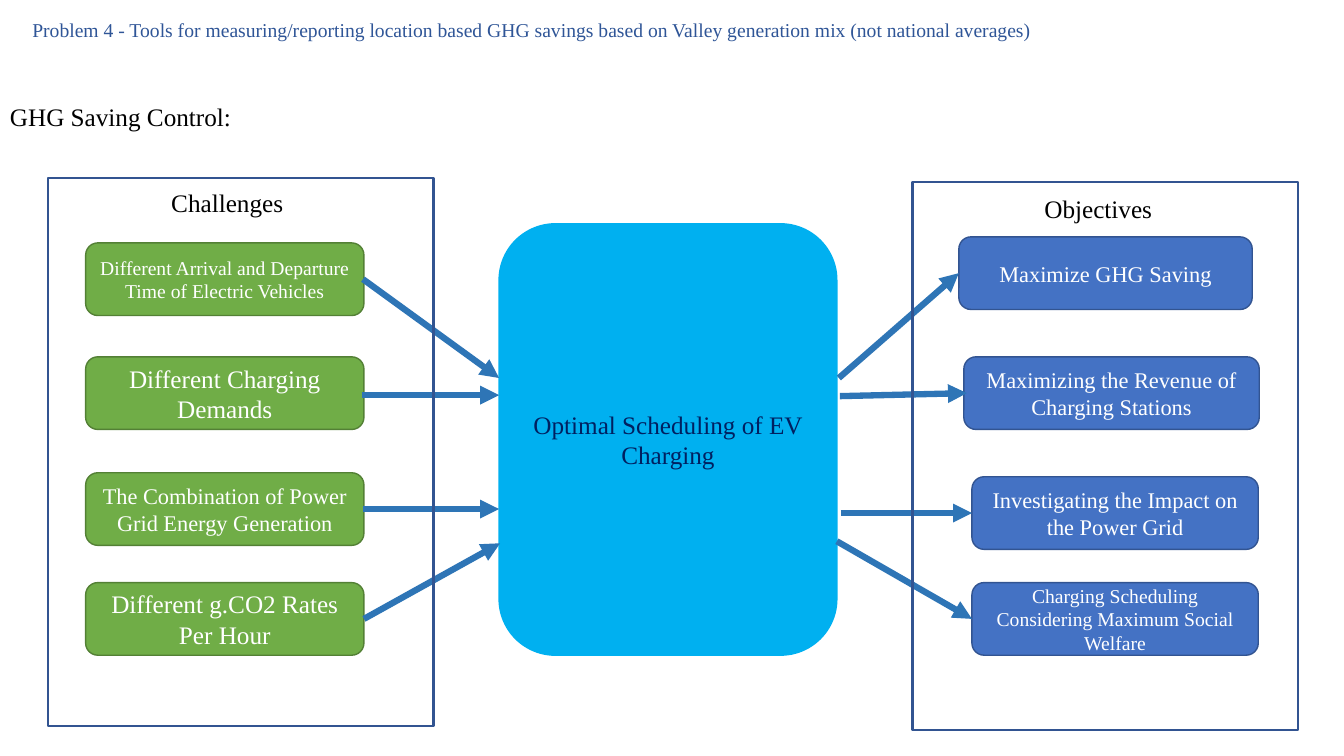
from lxml import etree
from pptx import Presentation
from pptx.dml.color import RGBColor
from pptx.enum.shapes import MSO_CONNECTOR, MSO_SHAPE
from pptx.enum.text import MSO_ANCHOR, MSO_AUTO_SIZE, PP_ALIGN
from pptx.oxml.ns import qn
from pptx.util import Emu, Pt

RECT, ROUNDED = MSO_SHAPE.RECTANGLE, MSO_SHAPE.ROUNDED_RECTANGLE
STRAIGHT = MSO_CONNECTOR.STRAIGHT
TOP, MIDDLE = MSO_ANCHOR.TOP, MSO_ANCHOR.MIDDLE
LEFT, CENTER = PP_ALIGN.LEFT, PP_ALIGN.CENTER
FIXED = MSO_AUTO_SIZE.NONE

PX = 9144  # EMU per px, 100 px to the inch
THEME = {
    "font": "Times New Roman",
    "title": "2F5597", "black": "000000", "white": "FFFFFF", "navy": "002060",
    "sky": "00B0F0", "green": "70AD47", "green_edge": "538035",
    "blue": "4472C4", "blue_edge": "325491", "arrow": "2E75B6",
    "small": 14, "medium": 16, "large": 18,
    "edge_pt": 1, "panel_pt": 1.5, "arrow_pt": 4.5,
}


def write(shape, text, size, color, align=LEFT, anchor=TOP):
    frame = shape.text_frame
    frame.word_wrap = True
    frame.auto_size = FIXED
    frame.vertical_anchor = anchor
    paragraph = frame.paragraphs[0]
    paragraph.alignment = align
    run = paragraph.add_run()
    run.text = text
    run.font.name = THEME["font"]
    run.font.size = Pt(THEME[size])
    run.font.color.rgb = RGBColor.from_string(THEME[color])


def add_box(kind, box, fill, edge, edge_width):
    shape = slide.shapes.add_shape(kind, *[Emu(v * PX) for v in box])
    shape.shadow.inherit = False
    if fill:
        shape.fill.solid()
        shape.fill.fore_color.rgb = RGBColor.from_string(THEME[fill])
    else:
        shape.fill.background()
    shape.line.color.rgb = RGBColor.from_string(THEME[edge])
    shape.line.width = Pt(THEME[edge_width])
    return shape


prs = Presentation()
prs.slide_width, prs.slide_height = Emu(1333 * PX), Emu(750 * PX)
slide = prs.slides.add_slide(prs.slide_layouts[5])

# Title
title = slide.shapes.title
title.left, title.top = Emu(22 * PX), Emu(13 * PX)
title.width, title.height = Emu(1221 * PX), Emu(34 * PX)
write(title, "Problem 4 - Tools for measuring/reporting location based GHG savings "
      "based on Valley generation mix (not national averages)", "small", "title")

# Central scheduler
scheduler = add_box(ROUNDED, (495, 222, 335, 428), "sky", "sky", "edge_pt")
write(scheduler, "Optimal Scheduling of EV Charging", "large", "navy", CENTER, MIDDLE)

# Challenges and objectives: left, top, width, text size, text
CARD_HEIGHT = 72
challenges = [
    (85, 241, 276, "small", "Different Arrival and Departure Time of Electric Vehicles"),
    (85, 354, 276, "large", "Different Charging Demands"),
    (85, 469, 276, "medium", "The Combination of Power Grid Energy Generation"),
    (85, 578, 276, "large", "Different g.CO2 Rates Per Hour"),
]
objectives = [
    (951, 235, 291, "medium", "Maximize GHG Saving"),
    (956, 354, 293, "medium", "Maximizing the Revenue of Charging Stations"),
    (964, 473, 284, "medium", "Investigating the Impact on the Power Grid"),
    (964, 578, 284, "small", "Charging Scheduling Considering Maximum Social Welfare"),
]
for cards, fill, edge in ((challenges, "green", "green_edge"),
                          (objectives, "blue", "blue_edge")):
    for left, top, width, size, text in cards:
        card = add_box(ROUNDED, (left, top, width, CARD_HEIGHT), fill, edge, "edge_pt")
        write(card, text, size, "white", CENTER, MIDDLE)

# Arrows into and out of the scheduler: start x, start y, end x, end y
flows = [
    (360, 277, 495, 375), (359, 392, 495, 392),
    (360, 505, 495, 505), (361, 614, 496, 539),
    (832, 375, 951, 271), (833, 393, 959, 390),
    (834, 509, 964, 509), (830, 537, 964, 614),
]
for ends in flows:
    arrow = slide.shapes.add_connector(STRAIGHT, *[Emu(v * PX) for v in ends])
    arrow.line.color.rgb = RGBColor.from_string(THEME["arrow"])
    arrow.line.width = Pt(THEME["arrow_pt"])
    etree.SubElement(arrow.line._get_or_add_ln(), qn("a:tailEnd"), type="triangle")
    etree.SubElement(arrow._element.spPr, qn("a:effectLst"))

# Panel frames
for frame_box in ((48, 177, 382, 543), (905, 181, 382, 543)):
    add_box(RECT, frame_box, None, "blue_edge", "panel_pt")

# Headings
headings = [
    ("GHG Saving Control:", (0, 96, 320, 40)),
    ("Challenges", (160, 181, 161, 40)),
    ("Objectives", (1026, 187, 161, 40)),
]
for text, box in headings:
    heading = slide.shapes.add_textbox(*[Emu(v * PX) for v in box])
    write(heading, text, "large", "black")

prs.save("out.pptx")
